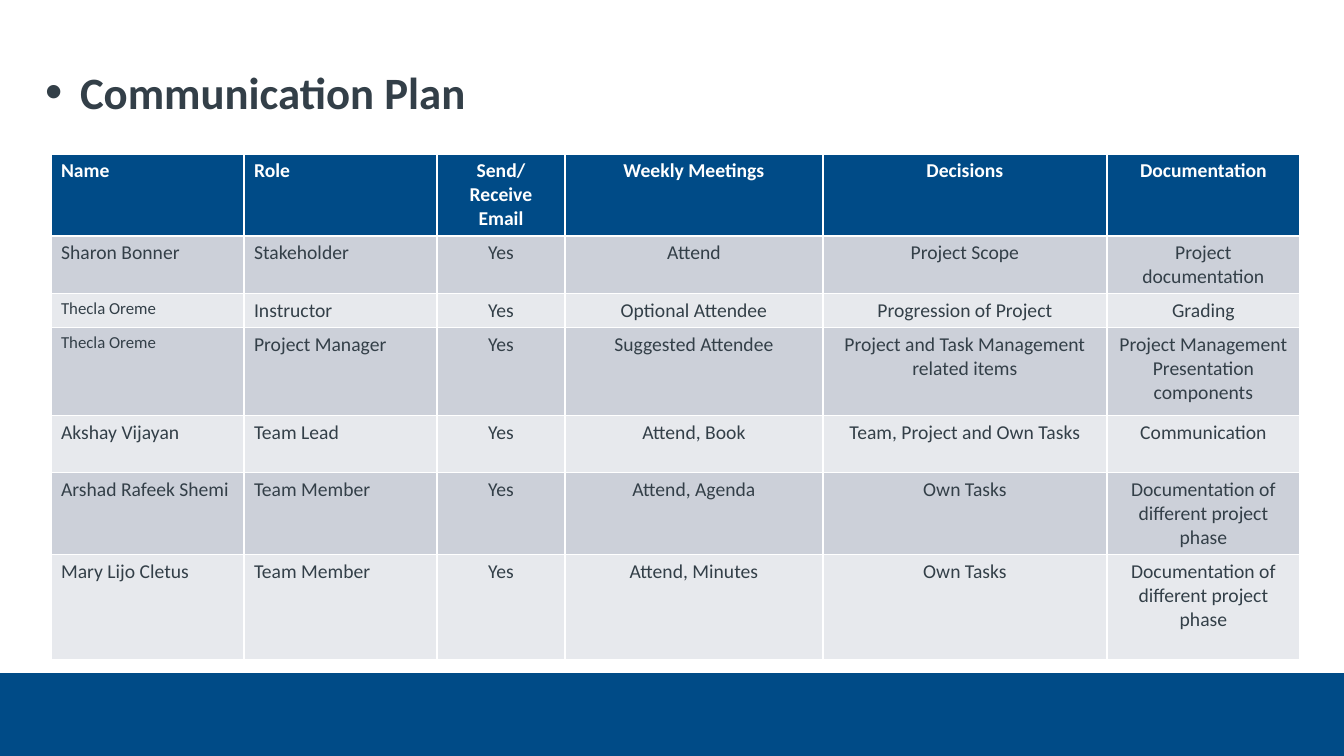
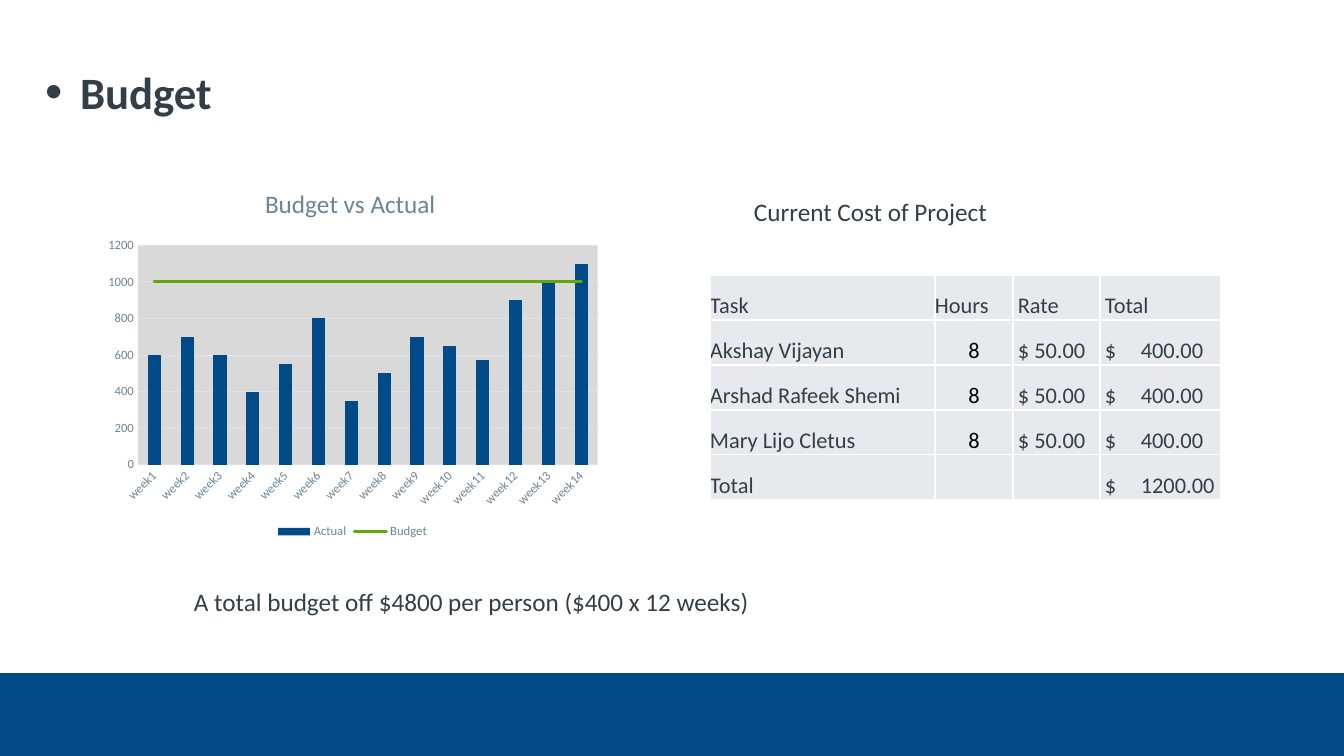
import pptx
import pptx.chart.data
import pptx.dml.color
import pptx.enum.chart
import pptx.enum.shapes
import pptx.enum.text
import pptx.oxml
import pptx.oxml.ns
import pptx.util

PX = 12192000 / 1344
COLORS = {
    "navy": "004B87", "ink": "333F48", "slate": "6C8497", "green": "64A70B",
    "row_dark": "CCD0D9", "row_light": "E7E9ED", "grid": "DDE3E7",
    "plot": "D9D9D9", "white": "FFFFFF", "black": "000000",
}
RGB = {name: pptx.dml.color.RGBColor.from_string(value) for name, value in COLORS.items()}
LEFT = pptx.enum.text.PP_ALIGN.LEFT
CENTER = pptx.enum.text.PP_ALIGN.CENTER
DRAWING = pptx.oxml.ns.nsdecls("a")
CHART = pptx.oxml.ns.nsdecls("c")
NO_MARGINS = {"margin_left": 0, "margin_top": 0, "margin_right": 0, "margin_bottom": 0}


def px(*lengths):
    """Turn pixel lengths into a list of EMU lengths."""
    return [pptx.util.Emu(round(length * PX)) for length in lengths]


def style(font, size, color="ink", bold=False):
    values = {"name": "Calibri", "size": pptx.util.Pt(size), "bold": bold}
    for attribute, value in values.items():
        setattr(font, attribute, value)
    font.color.rgb = RGB[color]


presentation = pptx.Presentation()
presentation.slide_width, presentation.slide_height = px(1344, 756)
layout = presentation.slide_layouts[5]
plan_slide = presentation.slides.add_slide(layout)
budget_slide = presentation.slides.add_slide(layout)

# Bottom band, moved to the layout that both slides share
band = plan_slide.shapes.add_shape(
    pptx.enum.shapes.MSO_SHAPE.RECTANGLE, *px(0, 673, 1344, 83))
band.shadow.inherit = False
band.fill.solid()
band.fill.fore_color.rgb = RGB["navy"]
band.line.fill.background()
band.element.xpath("./p:nvSpPr/p:cNvPr")[0].set("id", "20")
layout.shapes.element.insert(2, band.element)

# Bulleted titles
title_values = NO_MARGINS | {
    "auto_size": pptx.enum.text.MSO_AUTO_SIZE.NONE,
    "vertical_anchor": pptx.enum.text.MSO_ANCHOR.TOP,
}
bullet_parts = ('buSzPct {} val="110000"', 'buFont {} typeface="Arial"', 'buChar {} char="•"')
bullet_indent = px(35)[0]
for slide, heading in ((plan_slide, "Communication Plan"), (budget_slide, "Budget")):
    title = slide.shapes.title
    title.left, title.top, title.width, title.height = px(45, 65, 1209, 63)
    title.text = heading
    for attribute, value in title_values.items():
        setattr(title.text_frame, attribute, value)
    paragraph = title.text_frame.paragraphs[0]
    paragraph.alignment = LEFT
    style(paragraph.runs[0].font, 32, bold=True)
    paragraph_properties = title.element.xpath(".//a:pPr")[0]
    paragraph_properties.set("marL", str(bullet_indent))
    paragraph_properties.set("indent", str(-bullet_indent))
    for part in bullet_parts:
        paragraph_properties.append(pptx.oxml.parse_xml(f"<a:{part.format(DRAWING)}/>"))

# Table contents
plan_rows = [
    ("Name", "Role", "Send/Receive Email", "Weekly Meetings", "Decisions", "Documentation"),
    ("Sharon Bonner", "Stakeholder", "Yes", "Attend", "Project Scope",
     "Project documentation"),
    ("Thecla Oreme", "Instructor", "Yes", "Optional Attendee", "Progression of Project",
     "Grading"),
    ("Thecla Oreme", "Project Manager", "Yes", "Suggested Attendee",
     "Project and Task Management related items",
     "Project Management Presentation components"),
    ("Akshay Vijayan", "Team Lead", "Yes", "Attend, Book", "Team, Project and Own Tasks",
     "Communication"),
    ("Arshad Rafeek Shemi", "Team Member", "Yes", "Attend, Agenda", "Own Tasks",
     "Documentation of different project phase"),
    ("Mary Lijo Cletus", "Team Member", "Yes", "Attend, Minutes", "Own Tasks",
     "Documentation of different project phase"),
]
members = ("Akshay Vijayan", "Arshad Rafeek Shemi", "Mary Lijo Cletus")
cost_rows = [
    ("Task", "Hours", "Rate", "Total"),
    *((member, "8", "$ 50.00", "$\t400.00") for member in members),
    ("Total", "", "", "$\t1200.00"),
]

# Table grids
table_frames = []
for slide, rows, left, top, widths, heights in (
    (plan_slide, plan_rows, 51, 154, (193, 193, 128, 258, 284, 193),
     (82, 57, 34, 88, 57, 82, 105)),
    (budget_slide, cost_rows, 710, 275, (225, 78, 87, 121), (45,) * len(cost_rows)),
):
    table_frame = slide.shapes.add_table(
        len(rows), len(widths), *px(left, top, sum(widths), sum(heights)))
    for column, width in zip(table_frame.table.columns, px(*widths)):
        column.width = width
    for row, height, texts in zip(table_frame.table.rows, px(*heights), rows):
        row.height = height
        for cell, text in zip(row.cells, texts):
            cell.text = text
            cell.fill.solid()
    table_frames.append(table_frame)
plan_frame, cost_frame = table_frames

# Communication plan: dark header, banded rows, centred from the third column
for row_index, row in enumerate(plan_frame.table.rows):
    is_header = row_index == 0
    fill = "navy" if is_header else ("row_light", "row_dark")[row_index % 2]
    for column_index, cell in enumerate(row.cells):
        cell.fill.fore_color.rgb = RGB[fill]
        paragraph = cell.text_frame.paragraphs[0]
        paragraph.alignment = CENTER if column_index >= 2 else LEFT
        style(paragraph.runs[0].font, 12 if cell.text == "Thecla Oreme" else 14,
              "white" if is_header else "ink", is_header)

# Cost table: one fill, texts at the bottom, amounts set on a tab stop
cost_frame.table.first_row = False
cost_frame.table.horz_banding = False
cost_cell_values = NO_MARGINS | {"vertical_anchor": pptx.enum.text.MSO_ANCHOR.BOTTOM}
for row in cost_frame.table.rows:
    for column_index, cell in enumerate(row.cells):
        cell.fill.fore_color.rgb = RGB["row_light"]
        for attribute, value in cost_cell_values.items():
            setattr(cell, attribute, value)
        if column_index >= 2:
            cell.margin_left = px(5)[0]
        is_hours = cell.text == "8"
        paragraph = cell.text_frame.paragraphs[0]
        paragraph.alignment = CENTER if is_hours else LEFT
        for run in paragraph.runs:
            style(run.font, 16, "black" if is_hours else "ink")
for amount_properties in cost_frame.element.xpath(".//a:tc[4]//a:p[contains(., '$')]/a:pPr"):
    amount_properties.insert(0, pptx.oxml.parse_xml(
        f'<a:tabLst {DRAWING}><a:tab pos="{px(36)[0]}" algn="l"/></a:tabLst>'))

# Budget captions
for text, box, wrap in (
    ("Current Cost of Project", (744, 191, 443, 40), True),
    ("A total budget off $4800 per person ($400 x 12 weeks)", (184, 581, 583, 40), False),
):
    text_frame = budget_slide.shapes.add_textbox(*px(*box)).text_frame
    text_frame.word_wrap = wrap
    text_frame.auto_size = pptx.enum.text.MSO_AUTO_SIZE.SHAPE_TO_FIT_TEXT
    text_frame.text = text
    style(text_frame.paragraphs[0].runs[0].font, 18)

# Budget chart
actual = (600, 700, 600, 400, 550, 800, 350, 500, 700, 650, 570, 900, 1000, 1100)
chart_data = pptx.chart.data.CategoryChartData()
chart_data.categories = [f"week{number}" for number in range(1, len(actual) + 1)]
chart_data.add_series("Actual", actual)
chart_data.add_series("Budget", [1000] * len(actual))
chart = budget_slide.shapes.add_chart(
    pptx.enum.chart.XL_CHART_TYPE.COLUMN_CLUSTERED, *px(97, 171, 511, 372), chart_data).chart
style(chart.font, 10)
chart.has_title = True
chart.chart_title.text_frame.text = "Budget vs Actual"
style(chart.chart_title.text_frame.paragraphs[0].runs[0].font, 18, "slate")
chart.has_legend = True
chart.legend.position = pptx.enum.chart.XL_LEGEND_POSITION.BOTTOM
chart.legend.include_in_layout = False
style(chart.legend.font, 9, "slate")

# Axes
category_axis, value_axis = chart.category_axis, chart.value_axis
for axis in (category_axis, value_axis):
    axis.major_tick_mark = pptx.enum.chart.XL_TICK_MARK.NONE
    style(axis.tick_labels.font, 9, "slate")
value_axis_values = {"minimum_scale": 0, "maximum_scale": 1200, "major_unit": 200}
for attribute, value in value_axis_values.items():
    setattr(value_axis, attribute, value)
value_axis.format.line.fill.background()
label_angle = -45 * 60000
chart.element.xpath(".//c:catAx/c:txPr/a:bodyPr")[0].set("rot", str(label_angle))

# Columns keep the actual cost; the budget series moves to a line plot
columns = chart.plots[0]
columns.gap_width = 150
columns.vary_by_categories = False
columns.series[0].format.fill.solid()
columns.series[0].format.fill.fore_color.rgb = RGB["navy"]
bar_chart = chart.element.xpath(".//c:barChart")[0]
budget_element = bar_chart.xpath("./c:ser")[1]
for bar_setting in budget_element.xpath("./c:invertIfNegative"):
    budget_element.remove(bar_setting)
axis_ids = "".join(f'<c:axId val="{value}"/>' for value in bar_chart.xpath("./c:axId/@val"))
line_chart = pptx.oxml.parse_xml(
    f'<c:lineChart {CHART}><c:grouping val="standard"/>'
    f'<c:varyColors val="0"/><c:marker val="1"/>{axis_ids}</c:lineChart>')
line_chart.insert(2, budget_element)
bar_chart.addnext(line_chart)
budget_series = chart.plots[1].series[0]
budget_series.smooth = False
budget_series.marker.style = pptx.enum.chart.XL_MARKER_STYLE.NONE

# Chart lines
for line, color, width in (
    (category_axis.format.line, "grid", 0.75),
    (value_axis.major_gridlines.format.line, "grid", 0.75),
    (budget_series.format.line, "green", 2.25),
):
    line.color.rgb = RGB[color]
    line.width = pptx.util.Pt(width)
budget_element.xpath("./c:spPr/a:ln")[0].set("cap", "rnd")

# Places of plot and title as shares of the chart, and the plot background
plot_area = chart.element.xpath(".//c:plotArea")[0]
chart_title = chart.element.xpath("./c:chart/c:title")[0]
for parent, position, settings in (
    (plot_area, 0, {"layoutTarget": "inner", "xMode": "edge", "yMode": "edge",
                    "x": 0.08, "y": 0.2, "w": 0.9, "h": 0.59}),
    (chart_title, 1, {"xMode": "edge", "yMode": "edge", "x": 0.32, "y": 0.03}),
):
    for old_layout in parent.xpath("./c:layout"):
        parent.remove(old_layout)
    entries = "".join(f'<c:{name} val="{value}"/>' for name, value in settings.items())
    parent.insert(position, pptx.oxml.parse_xml(
        f'<c:layout {CHART}><c:manualLayout>{entries}</c:manualLayout></c:layout>'))
plot_area.append(pptx.oxml.parse_xml(
    f'<c:spPr {CHART} {DRAWING}><a:solidFill>'
    f'<a:srgbClr val="{COLORS["plot"]}"/></a:solidFill></c:spPr>'))

presentation.save("out.pptx")
